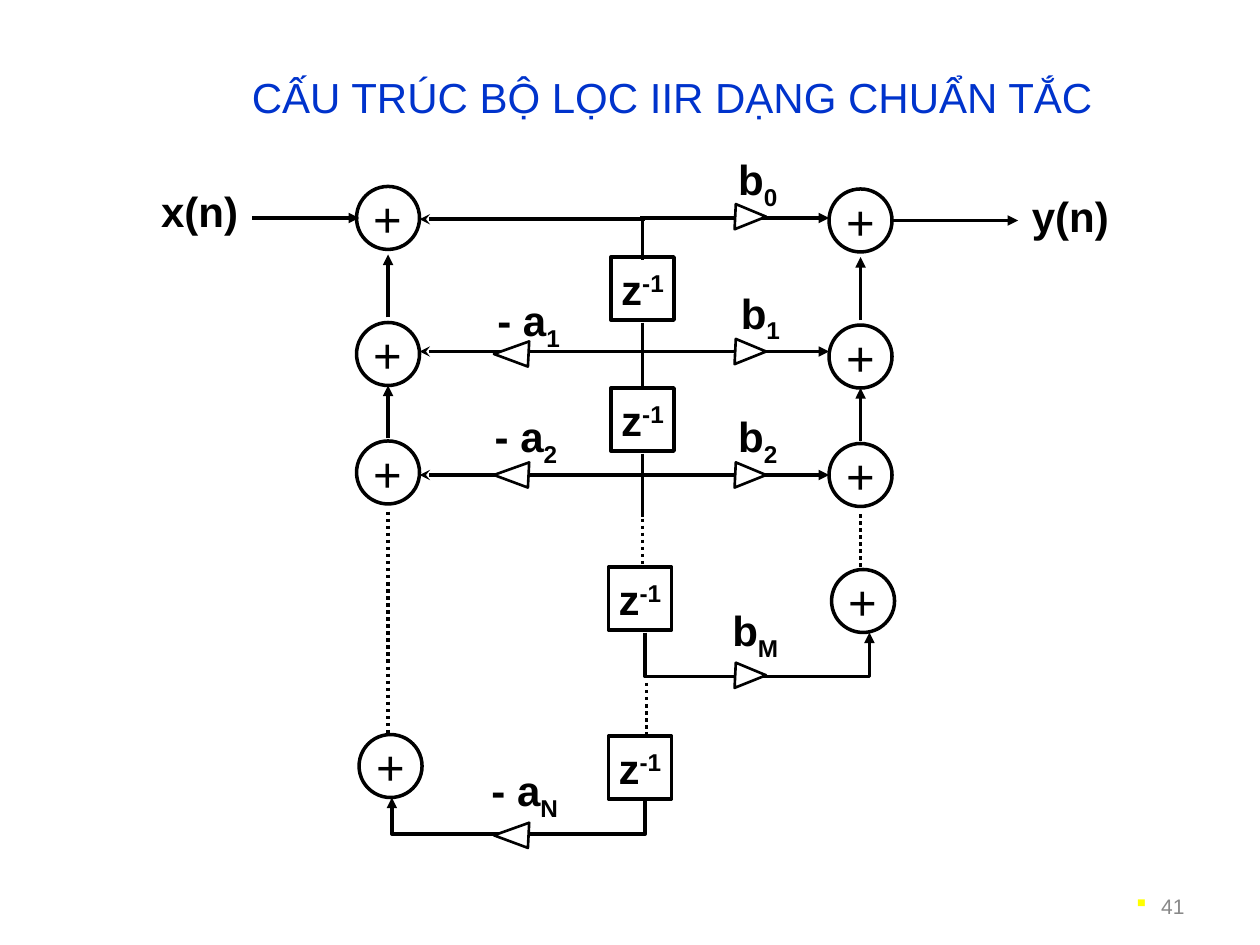
from lxml import etree
from pptx import Presentation
from pptx.dml.color import RGBColor
from pptx.enum.dml import MSO_LINE
from pptx.enum.shapes import MSO_CONNECTOR, MSO_SHAPE
from pptx.enum.text import MSO_ANCHOR, MSO_AUTO_SIZE, PP_ALIGN
from pptx.oxml.ns import qn
from pptx.util import Inches, Pt

BLACK, WHITE, BLUE, GREY, YELLOW = "000000", "FFFFFF", "0033CC", "898989", "FFFF00"
CENTER, RIGHT = PP_ALIGN.CENTER, PP_ALIGN.RIGHT
MIDDLE, FIXED = MSO_ANCHOR.MIDDLE, MSO_AUTO_SIZE.NONE
STRAIGHT, DOTS = MSO_CONNECTOR.STRAIGHT, MSO_LINE.ROUND_DOT
OVAL, RECT = MSO_SHAPE.OVAL, MSO_SHAPE.RECTANGLE


def write(frame, runs, size, color=BLACK, bold=False, align=CENTER):
    """Add runs given as (text, baseline shift in percent)."""
    para = frame.paragraphs[0]
    para.alignment = align
    for text, shift in runs:
        run = para.add_run()
        run.text = text
        run.font.name = "Arial"
        run.font.size = Pt(size)
        run.font.bold = bold
        run.font.color.rgb = RGBColor.from_string(color)
        if shift:
            run.font._element.set("baseline", str(shift * 1000))
    return para


def ink(shape, width=2, dash=None, head=None, tail=None):
    """Draw a black outline with optional arrowheads and no shadow."""
    shape.line.color.rgb = RGBColor.from_string(BLACK)
    shape.line.width = Pt(width)
    if dash:
        shape.line.dash_style = dash
    props = shape._element.spPr
    for tag, kind in (("a:headEnd", head), ("a:tailEnd", tail)):
        if kind:
            etree.SubElement(props.find(qn("a:ln")), qn(tag), type=kind)
    etree.SubElement(props, qn("a:effectLst"))


deck = Presentation()
deck.slide_width, deck.slide_height = Inches(10), Inches(7.5)
slide = deck.slides.add_slide(deck.slide_layouts[5])
shapes = slide.shapes

# Title
title = shapes.title
title.left, title.top = Inches(1.17), Inches(0.48)
title.width, title.height = Inches(8.33), Inches(0.58)
title.text_frame.auto_size = FIXED
title.text_frame.vertical_anchor = MIDDLE
write(title.text_frame, [("CẤU TRÚC BỘ LỌC IIR DẠNG CHUẨN TẮC", 0)], 24, BLUE)

# Page number with its yellow bullet
page = shapes.add_textbox(Inches(7.17), Inches(6.95), Inches(2.33), Inches(0.4))
page.text_frame.word_wrap = True
page.text_frame.vertical_anchor = MIDDLE
para = write(page.text_frame, [("41", 0)], 12, GREY, align=RIGHT)
para.line_spacing = 1.4
para.space_before = Pt(3)
props = para._p.get_or_add_pPr()
props.set("marL", str(Inches(0.22)))
props.set("indent", str(Inches(-0.22)))
tint = etree.SubElement(props, qn("a:buClr"))
etree.SubElement(tint, qn("a:srgbClr"), val=YELLOW)
etree.SubElement(props, qn("a:buChar"), char="▪")

# Signal lines: start, end, dash, head, tail
tri, barb = "triangle", "stealth"
wires = [
    (2, 1.73, 2.85, 1.73, None, None, tri),
    (5.08, 1.73, 6.58, 1.73, None, None, tri),
    (3.33, 1.74, 5.12, 1.74, None, barb, None),
    (7.08, 1.75, 8.08, 1.75, None, None, tri),
    (5.1, 1.73, 5.1, 2.06, None, None, None),
    (5.1, 2.56, 5.1, 3.06, None, None, None),
    (5.1, 3.6, 5.1, 4.1, None, None, None),
    (5.1, 4.06, 5.1, 4.48, DOTS, None, None),
    (5.13, 5.42, 5.13, 5.83, DOTS, None, None),
    (3.08, 4.06, 3.08, 5.83, DOTS, None, None),
    (6.83, 4.08, 6.83, 4.5, DOTS, None, None),
]
for y in (2.79, 3.77):
    wires.append((3.33, y, 6.58, y, None, barb, tri))
for x, drop in ((3.08, 0), (6.83, 0.02)):
    for low, high in ((3.48, 3.06), (2.52, 2.02)):
        wires.append((x, low + drop, x, high + drop, None, None, tri))
for x1, y1, x2, y2, dash, head, tail in wires:
    wire = shapes.add_connector(STRAIGHT, Inches(x1), Inches(y1), Inches(x2), Inches(y2))
    ink(wire, 2, dash, head, tail)

# Bent lines for the last feedback and feedforward taps
for x1, x2, top, low, head, tail in (
    (3.11, 5.12, 6.33, 6.62, tri, None),
    (5.12, 6.9, 5.02, 5.37, None, tri),
):
    path = shapes.build_freeform(Inches(x1), Inches(top))
    path.add_line_segments(
        [(Inches(x), Inches(y)) for x, y in ((x1, low), (x2, low), (x2, top))], close=False)
    bend = path.convert_to_shape()
    bend.fill.background()
    ink(bend, 2, None, head, tail)

# Adders and delay blocks
adders = [(2.83, 1.48), (2.83, 2.56), (2.83, 3.5), (2.85, 5.83),
          (6.58, 1.5), (6.58, 2.58), (6.58, 3.52), (6.6, 4.52)]
delays = [(4.85, 2.04), (4.85, 3.08), (4.83, 4.5), (4.83, 5.84)]
for kind, spots, runs, size, bold in (
    (OVAL, adders, [("+", 0)], 28, False),
    (RECT, delays, [("z", 0), ("-1", 30)], 24, True),
):
    for x, y in spots:
        node = shapes.add_shape(kind, Inches(x), Inches(y), Inches(0.5), Inches(0.5))
        node.fill.background()
        ink(node)
        node.text_frame.word_wrap = False
        node.text_frame.vertical_anchor = MIDDLE
        write(node.text_frame, runs, size, BLACK, bold)

# Gain triangles: base x, tip x, top y
gains = [(5.83, 6.08, y) for y in (1.62, 2.69, 3.67, 5.26)]
gains += [(4.19, 3.92, y) for y in (2.71, 3.67, 6.53)]
for base, tip, y in gains:
    path = shapes.build_freeform(Inches(base), Inches(y + 0.2))
    path.add_line_segments(
        [(Inches(base + 0.01), Inches(y)), (Inches(tip), Inches(y + 0.1))], close=True)
    gain = path.convert_to_shape()
    gain.fill.solid()
    gain.fill.fore_color.rgb = RGBColor.from_string(WHITE)
    ink(gain, 1.5)

# Signal names and coefficients
for x, y, name, sub in (
    (1.17, 1.42, "x(n)", ""), (8.08, 1.46, "y(n)", ""),
    (5.6, 1.17, "b", "0"), (5.62, 2.23, "b", "1"),
    (5.6, 3.21, "b", "2"), (5.58, 4.75, "b", "M"),
    (3.78, 2.29, "- a", "1"), (3.76, 3.21, "- a", "2"), (3.75, 6.02, "- a", "N"),
):
    label = shapes.add_textbox(
        Inches(x), Inches(y), Inches(0.83), Inches(0.56 if sub else 0.5))
    label.text_frame.word_wrap = True
    runs = [(name, 0), (sub, -25)] if sub else [(name, 0)]
    write(label.text_frame, runs, 24, BLACK, True).space_before = Pt(15)

deck.save("out.pptx")
